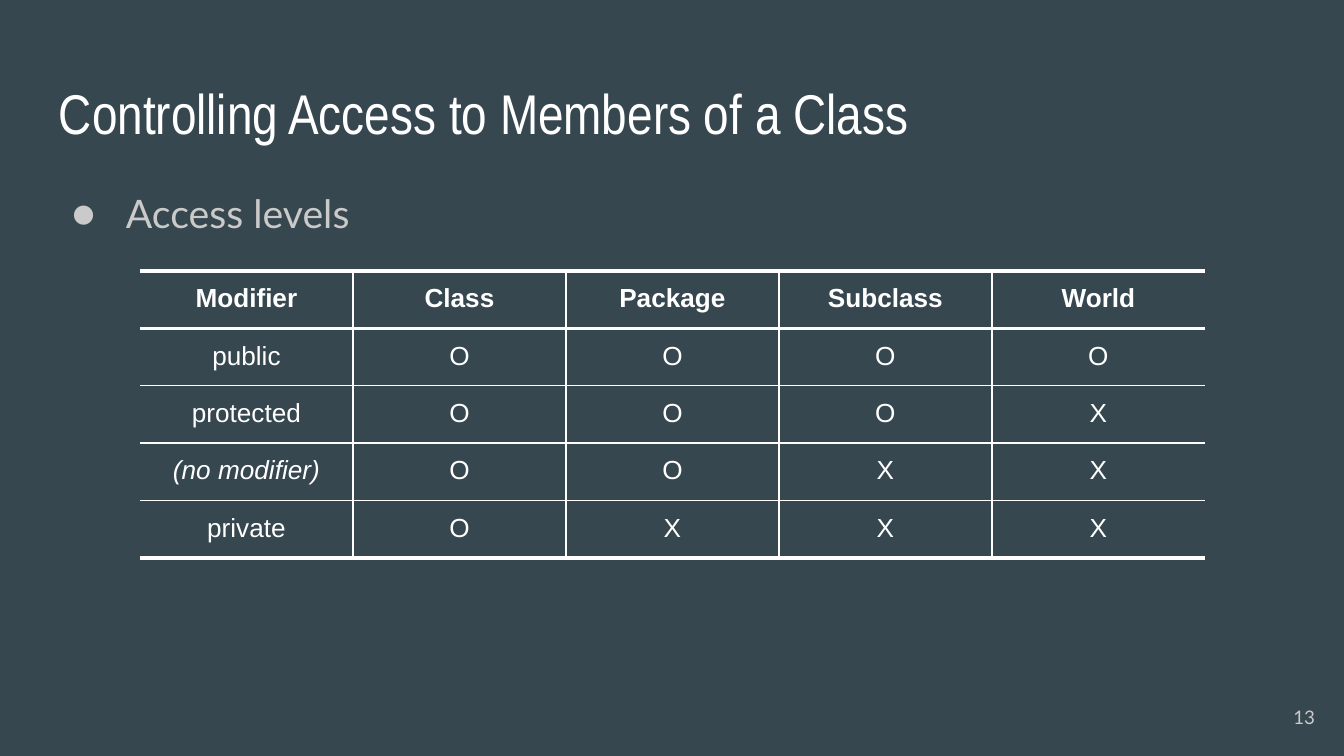
"""Build a slide with a table of access levels for class members."""
from dataclasses import dataclass
from typing import NamedTuple

from lxml.etree import SubElement
from pptx import Presentation
from pptx.dml.color import RGBColor as Color
from pptx.enum.text import MSO_ANCHOR as Anchor, PP_ALIGN as Align
from pptx.oxml.ns import qn
from pptx.util import Emu, Pt

EMU_PER_PX = 9144000 / 1344


@dataclass(frozen=True)
class Theme:
    background: str = "37474F"
    white: str = "FFFFFF"
    grey: str = "CACACA"
    title_font: str = "Arial Narrow"
    body_font: str = "Lato"
    table_font: str = "Arial"
    title_size: int = 30
    body_size: int = 21
    table_size: int = 14
    number_size: int = 10
    thin: float = 0.75
    medium: float = 1.5
    thick: float = 2.25


class Area(NamedTuple):
    left: int
    top: int
    width: int
    height: int


class AccessRow(NamedTuple):
    modifier: str
    marks: tuple[str, ...]
    bold: bool = False
    italic: bool = False


THEME = Theme()
MARGIN = 13
COLUMN_WIDTH = 213
ROW_HEIGHT = 56
ROWS = (
    AccessRow("Modifier", ("Class", "Package", "Subclass", "World"), bold=True),
    AccessRow("public", tuple("OOOO")),
    AccessRow("protected", tuple("OOOX")),
    AccessRow("(no modifier)", tuple("OOXX"), italic=True),
    AccessRow("private", tuple("OXXX")),
)
RULES = (THEME.thick, THEME.medium, THEME.thin, THEME.thin, THEME.thin, THEME.thick)


def px(length: int) -> Emu:
    return Emu(round(length * EMU_PER_PX))


def write(para, text: str, *, font: str, size: int, color: str,
          bold: bool = False, italic: bool = False, align=Align.LEFT) -> None:
    para.alignment = align
    span = para.add_run()
    span.text = text
    span.font.name = font
    span.font.size = Pt(size)
    span.font.bold = bold
    span.font.italic = italic
    span.font.color.rgb = Color.from_string(color)


def set_margins(holder) -> None:
    holder.margin_left = holder.margin_right = px(MARGIN)
    holder.margin_top = holder.margin_bottom = px(MARGIN)


def add_text(page, area: Area, text: str, *, anchor=Anchor.TOP, **style):
    box = page.shapes.add_textbox(*map(px, area))
    frame = box.text_frame
    frame.word_wrap = True
    frame.vertical_anchor = anchor
    set_margins(frame)
    para = frame.paragraphs[0]
    write(para, text, **style)
    return para


def add_bullet(para, color: str, font: str) -> None:
    para.line_spacing = 1.15
    properties = para._p.get_or_add_pPr()
    properties.set("marL", str(px(67)))
    properties.set("indent", str(px(-54)))
    bullet_color = SubElement(properties, qn("a:buClr"))
    SubElement(bullet_color, qn("a:srgbClr"), val=color)
    SubElement(properties, qn("a:buFont"), typeface=font)
    SubElement(properties, qn("a:buChar"), char="●")


def add_border(cell, side: str, width: float) -> None:
    line = SubElement(cell._tc.get_or_add_tcPr(), qn(f"a:ln{side}"), w=str(Pt(width)))
    if width:
        fill = SubElement(line, qn("a:solidFill"))
        SubElement(fill, qn("a:srgbClr"), val=THEME.white)
    else:
        SubElement(line, qn("a:noFill"))


def add_access_table(page, left: int, top: int, rows: tuple[AccessRow, ...]) -> None:
    count = len(rows[0].marks) + 1
    area = Area(left, top, COLUMN_WIDTH * count, ROW_HEIGHT * len(rows))
    table = page.shapes.add_table(len(rows), count, *map(px, area)).table
    table.first_row = table.horz_banding = False
    for column in table.columns:
        column.width = px(COLUMN_WIDTH)
    uprights = (0, *[THEME.thin] * (count - 1), 0)
    for r, row in enumerate(rows):
        table.rows[r].height = px(ROW_HEIGHT)
        for c, text in enumerate((row.modifier, *row.marks)):
            cell = table.cell(r, c)
            set_margins(cell)
            borders = {"L": uprights[c], "R": uprights[c + 1],
                       "T": RULES[r], "B": RULES[r + 1]}
            for side, width in borders.items():
                add_border(cell, side, width)
            cell.fill.background()
            write(cell.text_frame.paragraphs[0], text, font=THEME.table_font,
                  size=THEME.table_size, color=THEME.white, bold=row.bold,
                  italic=row.italic and c == 0, align=Align.CENTER)


def main() -> None:
    deck = Presentation()
    deck.slide_width, deck.slide_height = px(1344), px(756)
    page = deck.slides.add_slide(deck.slide_layouts[6])
    page.background.fill.solid()
    page.background.fill.fore_color.rgb = Color.from_string(THEME.background)
    add_text(page, Area(46, 66, 1252, 84), "Controlling Access to Members of a Class",
             font=THEME.title_font, size=THEME.title_size, color=THEME.white)
    topic = add_text(page, Area(46, 169, 1252, 503), "Access levels",
                     font=THEME.body_font, size=THEME.body_size, color=THEME.grey)
    add_bullet(topic, THEME.grey, THEME.body_font)
    add_text(page, Area(1248, 688, 80, 58), "13", font=THEME.body_font,
             size=THEME.number_size, color=THEME.grey, align=Align.RIGHT,
             anchor=Anchor.MIDDLE)
    add_access_table(page, 140, 271, ROWS)
    deck.save("out.pptx")


if __name__ == "__main__":
    main()
